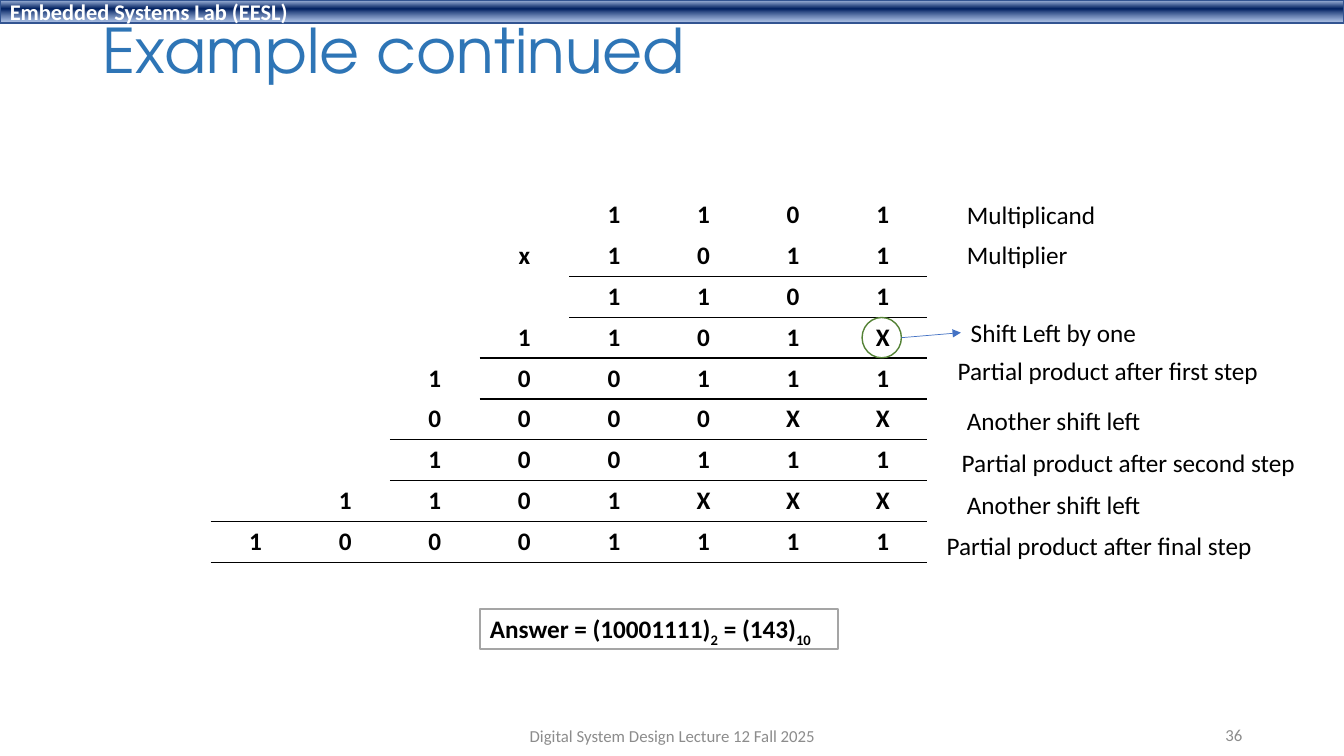
"""Build a slide that works through a binary multiplication step by step."""
from pptx import Presentation
from pptx.dml.color import RGBColor
from pptx.enum import shapes, text
from pptx.oxml import parse_xml
from pptx.oxml.ns import nsdecls, qn
from pptx.util import Inches, Pt

BLACK = RGBColor(0x00, 0x00, 0x00)
WHITE = RGBColor(0xFF, 0xFF, 0xFF)
TITLE_BLUE = RGBColor(0x2E, 0x75, 0xB6)
BAR_LINE = RGBColor(0x32, 0x54, 0x91)
ANSWER_LINE = RGBColor(0xA5, 0xA5, 0xA5)
CIRCLE_GREEN = RGBColor(0x54, 0x82, 0x35)
ARROW_BLUE = RGBColor(0x44, 0x72, 0xC4)
FOOTER_GRAY = RGBColor(0x8C, 0x8C, 0x8C)
BODY_FONT, TITLE_FONT = "Calibri", "TeX Gyre Adventor"

BAR_STOPS = [(2, "ABC0E4", 100), (38, "002060", 100), (93, "7E9ED6", 64)]
COLUMNS = 8
ROWS = ["1101", "x1011", "1101", "1101X", "100111", "0000XX", "100111", "1101XXX", "10001111"]
RULE_LENGTHS = {1: 4, 3: 5, 5: 6, 7: 8, 8: 8}
LABELS = [
    ("Multiplicand", 9.49, 1.93, 1.49),
    ("Multiplier", 9.49, 2.33, 1.21),
    ("Shift Left by one", 9.53, 3.1, 1.87),
    ("Partial product after first step", 9.4, 3.48, 3.22),
    ("Another shift left", 9.49, 3.97, 1.95),
    ("Partial product after second step", 9.44, 4.39, 3.55),
    ("Another shift left", 9.49, 4.81, 1.95),
    ("Partial product after final step", 9.29, 5.21, 3.27),
]
ANSWER = [("Answer = (10001111)", False), ("2", True), (" = (143)", False), ("10", True)]
FOOTERS = [
    ("Digital System Design Lecture 12 Fall 2025", 4.42, 7.1, 4.5, text.PP_ALIGN.CENTER),
    ("36", 9.42, 7.09, 3, text.PP_ALIGN.RIGHT),
]


def add_run(paragraph, words, size, color, bold=False, font=BODY_FONT):
    run = paragraph.add_run()
    run.text = words
    run.font.size = Pt(size)
    run.font.name = font
    run.font.bold = bold
    run.font.color.rgb = color
    return run


def add_box(slide, left, top, width, height=0.4):
    return slide.shapes.add_textbox(Inches(left), Inches(top), Inches(width), Inches(height))


def add_outline(slide, kind, left, top, width, height, color):
    shape = slide.shapes.add_shape(kind, Inches(left), Inches(top), Inches(width), Inches(height))
    shape.shadow.inherit = False
    shape.fill.background()
    shape.line.color.rgb = color
    shape.line.width = Pt(1)
    return shape


def fit_to_text(shape):
    shape.text_frame.word_wrap = False
    shape.text_frame.auto_size = text.MSO_AUTO_SIZE.SHAPE_TO_FIT_TEXT


def add_bar(slide):
    bar = add_outline(slide, shapes.MSO_SHAPE.RECTANGLE, 0, 0, 13.33, 0.23, BAR_LINE)
    stops = "".join(
        f'<a:gs pos="{position * 1000}"><a:srgbClr val="{color}">'
        f'<a:alpha val="{alpha * 1000}"/></a:srgbClr></a:gs>'
        for position, color, alpha in BAR_STOPS
    )
    gradient = parse_xml(
        f'<a:gradFill {nsdecls("a")} rotWithShape="1"><a:gsLst>{stops}</a:gsLst>'
        '<a:lin ang="5400000" scaled="0"/></a:gradFill>'
    )
    properties = bar._element.spPr
    properties.replace(properties.find(qn("a:noFill")), gradient)
    bar.text_frame.vertical_anchor = text.MSO_ANCHOR.MIDDLE
    paragraph = bar.text_frame.paragraphs[0]
    paragraph.alignment = text.PP_ALIGN.LEFT
    add_run(paragraph, "Embedded Systems Lab (EESL)", 16, WHITE, True)
    slide.shapes._spTree.insert(2, bar._element)


def add_title(slide):
    title = slide.shapes.title
    title.left, title.top, title.width, title.height = map(Inches, (0.92, 0.15, 11.5, 0.77))
    title.text_frame.vertical_anchor = text.MSO_ANCHOR.MIDDLE
    paragraph = title.text_frame.paragraphs[0]
    paragraph.alignment = text.PP_ALIGN.LEFT
    paragraph.line_spacing = 0.9
    add_run(paragraph, "Example continued", 44, TITLE_BLUE, font=TITLE_FONT)


def add_rule(cell, side):
    cell._tc.get_or_add_tcPr().insert(0, parse_xml(
        f'<a:{side} {nsdecls("a")} w="12700"><a:solidFill>'
        f'<a:srgbClr val="{BLACK}"/></a:solidFill></a:{side}>'
    ))


def add_multiplication(slide):
    frame = slide.shapes.add_table(
        len(ROWS), COLUMNS, Inches(2.09), Inches(1.93), Inches(7.11), Inches(3.64)
    )
    table = frame.table
    table.first_row = table.horz_banding = False
    style = table._tbl.tblPr.find(qn("a:tableStyleId"))
    style.text = "{2D5ABB26-0587-4C30-8999-92F81FD0307C}"
    for row, digits in enumerate(ROWS):
        for column, digit in enumerate(digits.rjust(COLUMNS)):
            cell = table.cell(row, column)
            cell.fill.background()
            if digit.strip():
                paragraph = cell.text_frame.paragraphs[0]
                paragraph.alignment = text.PP_ALIGN.CENTER
                add_run(paragraph, digit, 18, BLACK, True)
            for side, ruled_row in (("lnB", row), ("lnT", row - 1)):
                if column >= COLUMNS - RULE_LENGTHS.get(ruled_row, 0):
                    add_rule(cell, side)


def add_answer(slide):
    box = add_outline(slide, shapes.MSO_SHAPE.RECTANGLE, 4.76, 6.04, 3.55, 0.4, ANSWER_LINE)
    box.fill.solid()
    box.fill.fore_color.rgb = WHITE
    fit_to_text(box)
    box.text_frame.vertical_anchor = text.MSO_ANCHOR.TOP
    paragraph = box.text_frame.paragraphs[0]
    paragraph.alignment = text.PP_ALIGN.LEFT
    for words, subscript in ANSWER:
        run = add_run(paragraph, words, 18, BLACK, True)
        if subscript:
            run.font._element.set("baseline", "-25000")


def add_shift_arrow(slide):
    add_outline(slide, shapes.MSO_SHAPE.OVAL, 8.55, 3.15, 0.39, 0.4, CIRCLE_GREEN)
    arrow = slide.shapes.add_connector(
        shapes.MSO_CONNECTOR.STRAIGHT, Inches(8.94), Inches(3.35), Inches(9.53), Inches(3.3)
    )
    arrow.line.color.rgb = ARROW_BLUE
    arrow.line.width = Pt(0.5)
    arrow.line._get_or_add_ln().append(parse_xml(f'<a:tailEnd {nsdecls("a")} type="triangle"/>'))
    arrow._element.spPr.append(parse_xml(f'<a:effectLst {nsdecls("a")}/>'))


def main():
    presentation = Presentation()
    presentation.slide_width, presentation.slide_height = Inches(13.33), Inches(7.5)
    slide = presentation.slides.add_slide(presentation.slide_layouts[5])
    add_bar(slide)
    add_title(slide)
    add_multiplication(slide)
    add_answer(slide)
    add_shift_arrow(slide)
    for words, left, top, width in LABELS:
        label = add_box(slide, left, top, width)
        fit_to_text(label)
        add_run(label.text_frame.paragraphs[0], words, 18, BLACK)
    for words, left, top, width, alignment in FOOTERS:
        footer = add_box(slide, left, top, width)
        footer.text_frame.word_wrap = True
        footer.text_frame.vertical_anchor = text.MSO_ANCHOR.MIDDLE
        footer.text_frame.paragraphs[0].alignment = alignment
        add_run(footer.text_frame.paragraphs[0], words, 12, FOOTER_GRAY)
    presentation.save("out.pptx")


if __name__ == "__main__":
    main()
